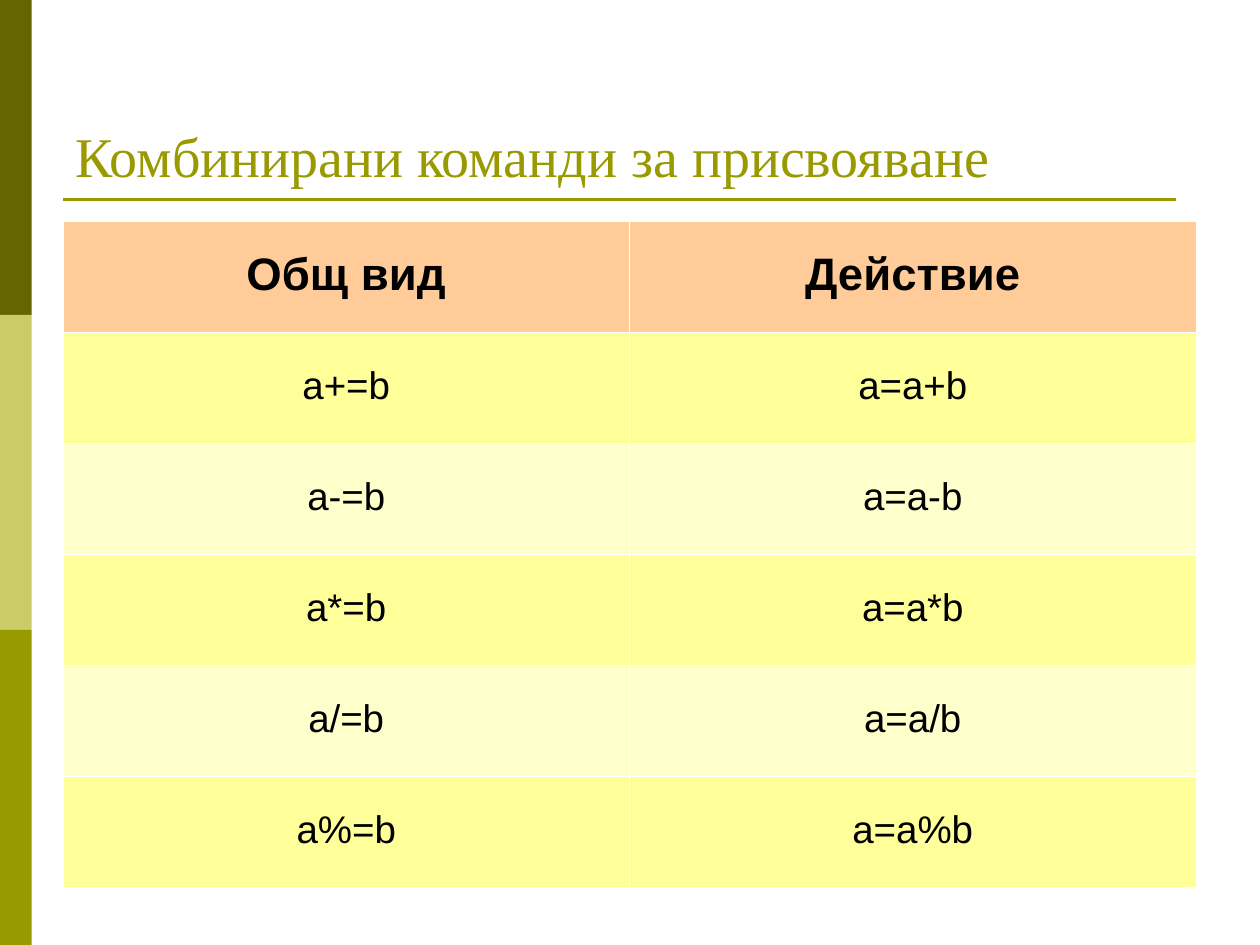
"""Build the slide on combined assignment commands."""
from dataclasses import dataclass
from typing import Any

from lxml import etree
from pptx import Presentation
from pptx.dml.color import RGBColor
from pptx.enum.shapes import MSO_CONNECTOR, MSO_SHAPE
from pptx.enum.text import MSO_ANCHOR, PP_ALIGN
from pptx.oxml.ns import qn
from pptx.slide import Slide
from pptx.util import Cm, Pt

RECTANGLE = MSO_SHAPE.RECTANGLE
STRAIGHT = MSO_CONNECTOR.STRAIGHT
BOTTOM, MIDDLE = MSO_ANCHOR.BOTTOM, MSO_ANCHOR.MIDDLE
LEFT, CENTER = PP_ALIGN.LEFT, PP_ALIGN.CENTER
BLANK_LAYOUT = 6


@dataclass(frozen=True)
class Theme:
    dark_olive: str = "666600"
    pale_olive: str = "CCCC66"
    olive: str = "999900"
    header: str = "FFCC99"
    odd_row: str = "FFFF99"
    even_row: str = "FFFFCC"
    text: str = "000000"
    border: str = "FFFFFF"
    title_font: str = "Times New Roman"
    table_font: str = "Arial"
    title_size: int = 32
    header_size: int = 26
    body_size: int = 22
    rule_width: float = 1.5
    border_width: float = 0.06
    table_line_spacing: float = 0.93


@dataclass(frozen=True)
class Band:
    top: float
    color: str


@dataclass(frozen=True)
class TableRow:
    texts: tuple[str, str]
    fill: str
    size: int
    bold: bool


THEME = Theme()
MARGIN = 1.27
BAND_WIDTH, BAND_HEIGHT = 0.64, 6.35
TABLE_TOP, COLUMN_WIDTH, ROW_HEIGHT = 4.45, 11.42, 2.24
RULE_TOP, RULE_RIGHT = 4.02, 23.7

BANDS = [
    Band(index * BAND_HEIGHT, color)
    for index, color in enumerate((THEME.dark_olive, THEME.pale_olive, THEME.olive))
]
ROWS = [TableRow(("Общ вид", "Действие"), THEME.header, THEME.header_size, True)] + [
    TableRow(
        (f"a{operator}=b", f"a=a{operator}b"),
        THEME.even_row if index % 2 else THEME.odd_row,
        THEME.body_size,
        False,
    )
    for index, operator in enumerate("+-*/%")
]


def apply_format(target: Any, values: dict[str, Any]) -> None:
    for name, value in values.items():
        setattr(target, name, value)


def write_text(paragraph: Any, text: str, color: str, values: dict[str, Any]) -> None:
    run = paragraph.add_run()
    run.text = text
    apply_format(run.font, values)
    run.font.color.rgb = RGBColor.from_string(color)


def draw_band(slide: Slide, band: Band) -> None:
    shape = slide.shapes.add_shape(
        RECTANGLE, 0, Cm(band.top), Cm(BAND_WIDTH), Cm(BAND_HEIGHT)
    )
    shape.shadow.inherit = False
    shape.fill.solid()
    shape.fill.fore_color.rgb = RGBColor.from_string(band.color)
    shape.line.fill.background()


def draw_rule(slide: Slide) -> None:
    rule = slide.shapes.add_connector(
        STRAIGHT, Cm(MARGIN), Cm(RULE_TOP), Cm(RULE_RIGHT), Cm(RULE_TOP)
    )
    rule.line.color.rgb = RGBColor.from_string(THEME.olive)
    rule.line.width = Pt(THEME.rule_width)
    etree.SubElement(rule._element.spPr, qn("a:effectLst"))


def draw_title(slide: Slide, text: str) -> None:
    box = slide.shapes.add_textbox(Cm(MARGIN), Cm(0.76), Cm(22.86), Cm(3.18))
    apply_format(box.text_frame, {"word_wrap": True, "vertical_anchor": BOTTOM})
    paragraph = box.text_frame.paragraphs[0]
    paragraph.alignment = LEFT
    values = {"name": THEME.title_font, "size": Pt(THEME.title_size)}
    write_text(paragraph, text, THEME.olive, values)


def set_borders(cell: Any) -> None:
    properties = cell._tc.get_or_add_tcPr()
    for index, edge in enumerate(("a:lnL", "a:lnR", "a:lnT", "a:lnB")):
        line = etree.Element(qn(edge), w=str(int(Pt(THEME.border_width))))
        fill = etree.SubElement(line, qn("a:solidFill"))
        etree.SubElement(fill, qn("a:srgbClr"), val=THEME.border)
        properties.insert(index, line)


def fill_cell(cell: Any, text: str, row: TableRow) -> None:
    cell.fill.solid()
    cell.fill.fore_color.rgb = RGBColor.from_string(row.fill)
    cell.vertical_anchor = MIDDLE
    set_borders(cell)
    paragraph = cell.text_frame.paragraphs[0]
    apply_format(
        paragraph, {"alignment": CENTER, "line_spacing": THEME.table_line_spacing}
    )
    values = {"name": THEME.table_font, "size": Pt(row.size), "bold": row.bold}
    write_text(paragraph, text, THEME.text, values)


def draw_table(slide: Slide, rows: list[TableRow]) -> None:
    column_count = len(rows[0].texts)
    table = slide.shapes.add_table(
        len(rows),
        column_count,
        Cm(MARGIN),
        Cm(TABLE_TOP),
        Cm(COLUMN_WIDTH * column_count),
        Cm(ROW_HEIGHT * len(rows)),
    ).table
    for column in table.columns:
        column.width = Cm(COLUMN_WIDTH)
    for row_index, row in enumerate(rows):
        table.rows[row_index].height = Cm(ROW_HEIGHT)
        for column_index, text in enumerate(row.texts):
            fill_cell(table.cell(row_index, column_index), text, row)


def main() -> None:
    presentation = Presentation()
    apply_format(presentation, {"slide_width": Cm(25.4), "slide_height": Cm(19.05)})
    slide = presentation.slides.add_slide(presentation.slide_layouts[BLANK_LAYOUT])
    for band in BANDS:
        draw_band(slide, band)
    draw_rule(slide)
    draw_title(slide, "Комбинирани команди за присвояване")
    draw_table(slide, ROWS)
    presentation.save("out.pptx")


if __name__ == "__main__":
    main()
